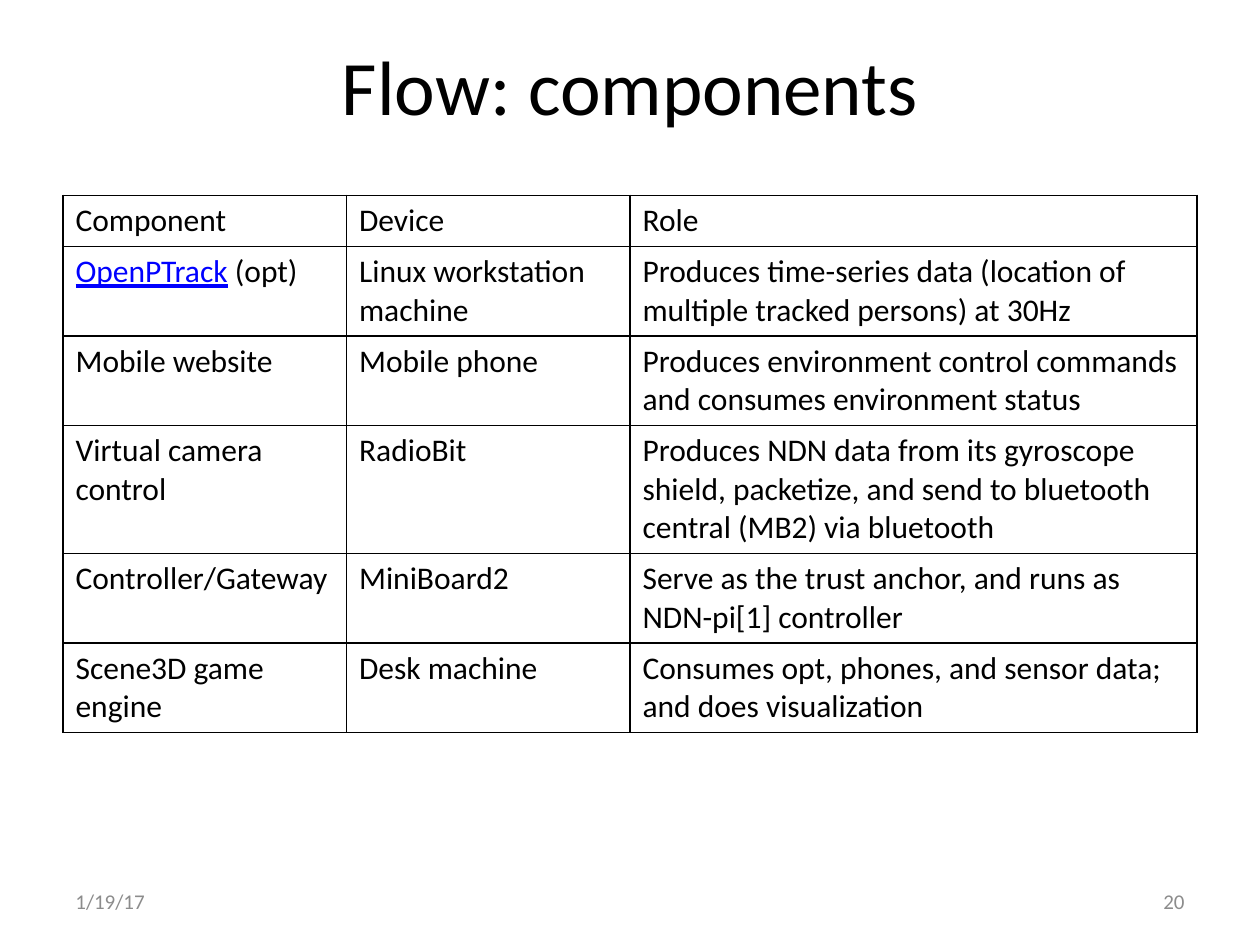
from pptx import Presentation
from pptx.dml.color import RGBColor
from pptx.enum import text
from pptx.oxml import ns, xmlchemy
from pptx.util import Pt

COLORS = {"text": "000000", "link": "0000FF", "footer": "8C8C8C", "border": "000000"}
FONT = "Calibri"
MARGIN = 36
COLUMN_WIDTHS = (162, 162, 324)
ROW_HEIGHT = 29.2
ROWS = (
    ("Component", "Device", "Role"),
    ("OpenPTrack (opt)", "Linux workstation machine",
     "Produces time-series data (location of multiple tracked persons) at 30Hz"),
    ("Mobile website", "Mobile phone",
     "Produces environment control commands and consumes environment status"),
    ("Virtual camera control", "RadioBit",
     "Produces NDN data from its gyroscope shield, packetize, and send to bluetooth "
     "central (MB2) via bluetooth"),
    ("Controller/Gateway", "MiniBoard2",
     "Serve as the trust anchor, and runs as NDN-pi[1] controller"),
    ("Scene3D game engine", "Desk machine",
     "Consumes opt, phones, and sensor data; and does visualization"),
)
LINKED_NAME = "OpenPTrack"


def add_run(paragraph, content, size, color="text", underline=False):
    run = paragraph.add_run()
    run.text = content
    run.font.name = FONT
    run.font.size = Pt(size)
    run.font.underline = underline
    run.font.color.rgb = RGBColor.from_string(COLORS[color])


def set_title(slide, content):
    title = slide.shapes.title
    title.left, title.top, title.width, title.height = Pt(MARGIN), Pt(10), Pt(648), Pt(76.5)
    title.text_frame.vertical_anchor = text.MSO_ANCHOR.MIDDLE
    paragraph = title.text_frame.paragraphs[0]
    paragraph.alignment = text.PP_ALIGN.CENTER
    add_run(paragraph, content, 44)


def set_borders(cell):
    properties = cell._tc.get_or_add_tcPr()
    for side in ("lnL", "lnR", "lnT", "lnB"):
        line = xmlchemy.OxmlElement(f"a:{side}")
        line.set("w", str(Pt(1)))
        fill = xmlchemy.OxmlElement("a:solidFill")
        color = xmlchemy.OxmlElement("a:srgbClr")
        color.set("val", COLORS["border"])
        fill.append(color)
        line.append(fill)
        properties.append(line)


def fill_cell(cell, content):
    set_borders(cell)
    cell.fill.background()
    paragraph = cell.text_frame.paragraphs[0]
    if content.startswith(LINKED_NAME):
        add_run(paragraph, LINKED_NAME, 18, "link", True)
        content = content.removeprefix(LINKED_NAME)
    add_run(paragraph, content, 18)


def add_component_table(slide):
    frame = slide.shapes.add_table(
        len(ROWS), len(COLUMN_WIDTHS), Pt(MARGIN), Pt(111.6),
        Pt(sum(COLUMN_WIDTHS)), Pt(ROW_HEIGHT * len(ROWS)))
    table = frame.table
    table.first_row = table.horz_banding = False
    for column, width in zip(table.columns, COLUMN_WIDTHS):
        column.width = Pt(width)
    for row, contents in zip(table.rows, ROWS):
        row.height = Pt(ROW_HEIGHT)
        for cell, content in zip(row.cells, contents):
            fill_cell(cell, content)


def add_footer(slide, content, left, alignment):
    box = slide.shapes.add_textbox(Pt(left), Pt(500.5), Pt(168), Pt(28.75))
    box.text_frame.word_wrap = True
    box.text_frame.vertical_anchor = text.MSO_ANCHOR.MIDDLE
    paragraph = box.text_frame.paragraphs[0]
    paragraph.alignment = alignment
    add_run(paragraph, content, 12, "footer")


def main():
    presentation = Presentation()
    presentation.slide_width, presentation.slide_height = Pt(720), Pt(540)
    slide = presentation.slides.add_slide(presentation.slide_layouts[5])
    set_title(slide, "Flow: components")
    add_component_table(slide)
    add_footer(slide, "1/19/17", MARGIN, text.PP_ALIGN.LEFT)
    add_footer(slide, "20", 516, text.PP_ALIGN.RIGHT)
    presentation.save("out.pptx")


if __name__ == "__main__":
    main()
